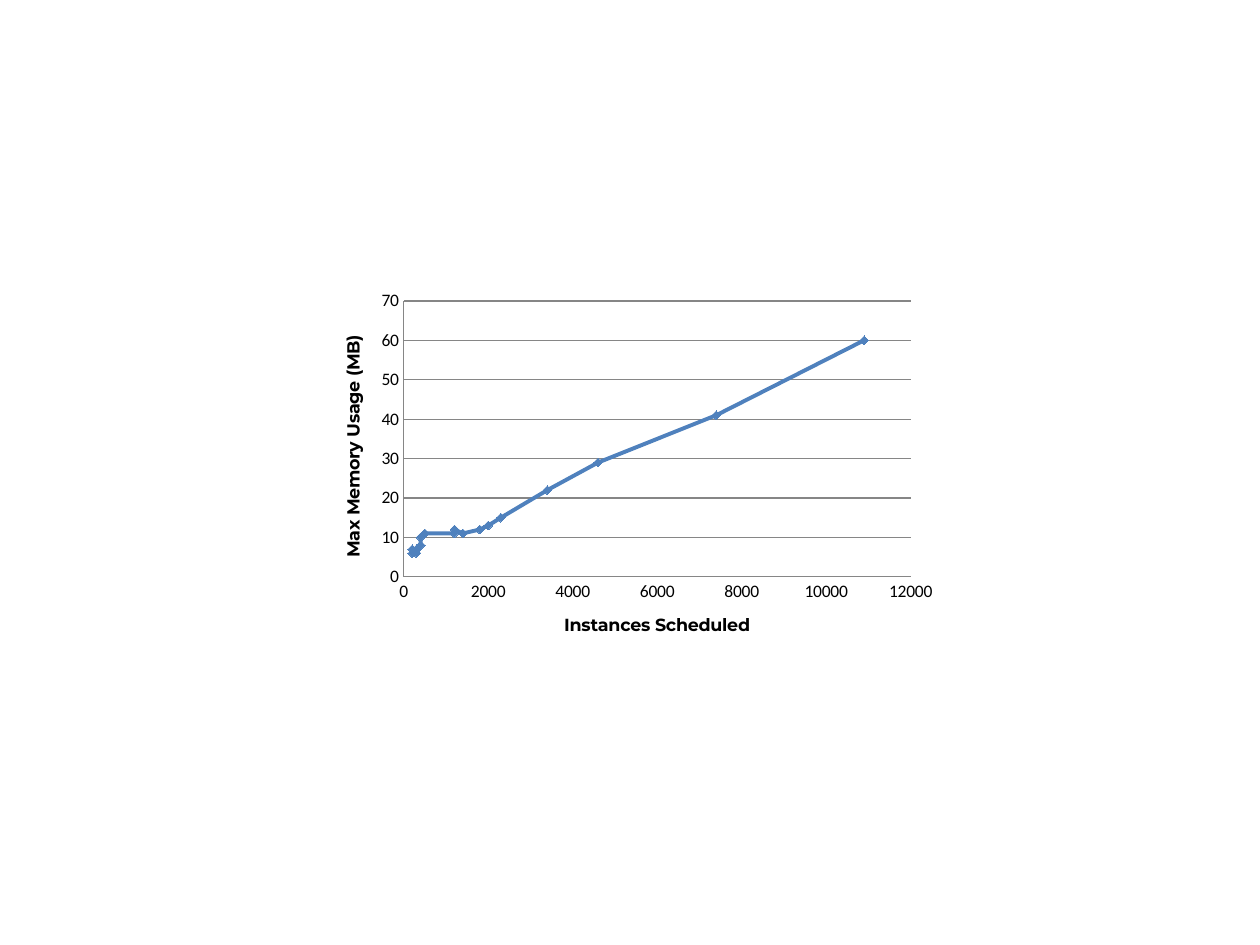
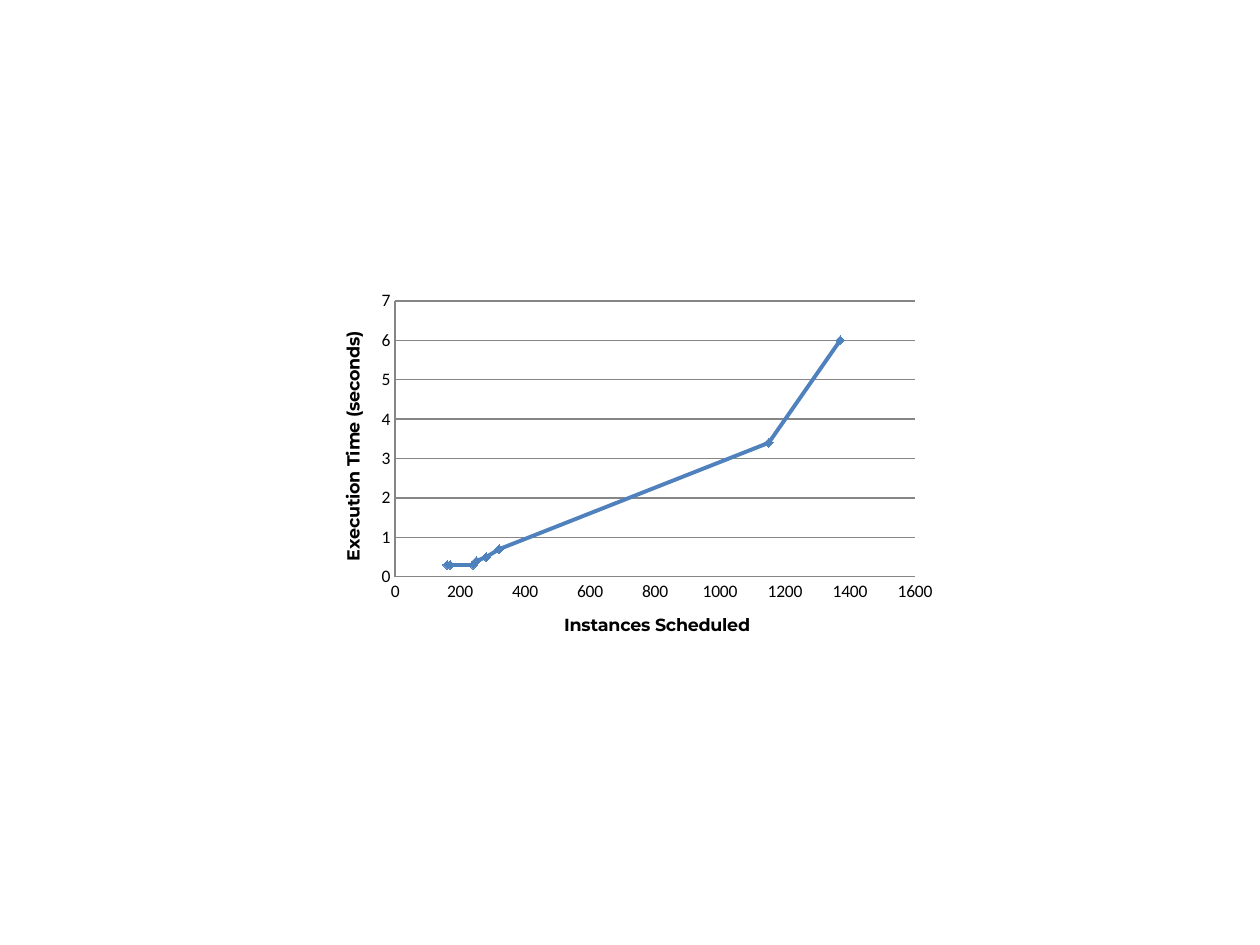
from pptx import Presentation
from pptx.chart.data import XyChartData
from pptx.dml.color import RGBColor
from pptx.enum.chart import XL_CHART_TYPE, XL_MARKER_STYLE, XL_TICK_MARK
from pptx.util import Inches, Pt

SCATTER_LINES = XL_CHART_TYPE.XY_SCATTER_LINES
DIAMOND = XL_MARKER_STYLE.DIAMOND
NO_TICK = XL_TICK_MARK.NONE

BLACK = RGBColor(0x00, 0x00, 0x00)
GRAY = RGBColor(0x86, 0x86, 0x86)
BLUE = RGBColor(0x4F, 0x81, 0xBD)
LABEL_FONT = "Calibri"
TITLE_FONT = "Montserrat"
FONT_SIZE = Pt(10)

memory_points = [
    (200, 7), (200, 6), (200, 6), (300, 7), (300, 6), (300, 6), (400, 8),
    (400, 10), (500, 11), (1200, 11), (1200, 12), (1400, 11), (1800, 12),
    (2000, 13), (2300, 15), (3400, 22), (4600, 29), (7400, 41), (10900, 60),
]
time_points = [
    (160, 0.3), (170, 0.3), (240, 0.3), (250, 0.4),
    (280, 0.5), (320, 0.7), (1150, 3.4), (1370, 6),
]
measurements = [
    ("Max Memory Usage (MB)", memory_points, 12000, 2000, 70, 10),
    ("Execution Time (seconds)", time_points, 1600, 200, 7, 1),
]


def format_axis(axis, title, maximum, step):
    axis.minimum_scale = 0
    axis.maximum_scale = maximum
    axis.major_unit = step
    axis.major_tick_mark = NO_TICK
    axis.minor_tick_mark = NO_TICK
    axis.format.line.color.rgb = GRAY
    axis.format.line.width = Pt(0.75)
    axis.tick_labels.number_format = "General"
    axis.tick_labels.number_format_is_linked = False
    axis.axis_title.text_frame.text = title
    font = axis.axis_title.text_frame.paragraphs[0].runs[0].font
    font.name = TITLE_FONT
    font.size = FONT_SIZE
    font.bold = True
    font.color.rgb = BLACK


presentation = Presentation()
presentation.slide_width = Inches(10)
presentation.slide_height = Inches(7.5)
blank_layout = presentation.slide_layouts[6]

for value_title, points, x_maximum, x_step, y_maximum, y_step in measurements:
    slide = presentation.slides.add_slide(blank_layout)
    chart_data = XyChartData()
    data_series = chart_data.add_series("Series 1")
    for x, y in points:
        data_series.add_data_point(x, y)

    chart = slide.shapes.add_chart(
        SCATTER_LINES, Inches(2.5), Inches(2.25), Inches(5), Inches(3), chart_data
    ).chart
    chart.has_title = False
    chart.has_legend = False
    chart.font.name = LABEL_FONT
    chart.font.size = FONT_SIZE
    chart.font.color.rgb = BLACK

    format_axis(chart.category_axis, "Instances Scheduled", x_maximum, x_step)
    format_axis(chart.value_axis, value_title, y_maximum, y_step)
    chart.category_axis.has_major_gridlines = False
    chart.value_axis.has_major_gridlines = True
    gridline = chart.value_axis.major_gridlines.format.line
    gridline.color.rgb = GRAY
    gridline.width = Pt(0.75)

    plot = chart.plots[0]
    plot.vary_by_categories = False
    series = plot.series[0]
    series.smooth = False
    series.format.line.color.rgb = BLUE
    series.format.line.width = Pt(2.25)
    series.marker.style = DIAMOND
    series.marker.size = 5
    series.marker.format.fill.solid()
    series.marker.format.fill.fore_color.rgb = BLUE
    series.marker.format.line.color.rgb = BLUE

presentation.save("out.pptx")
